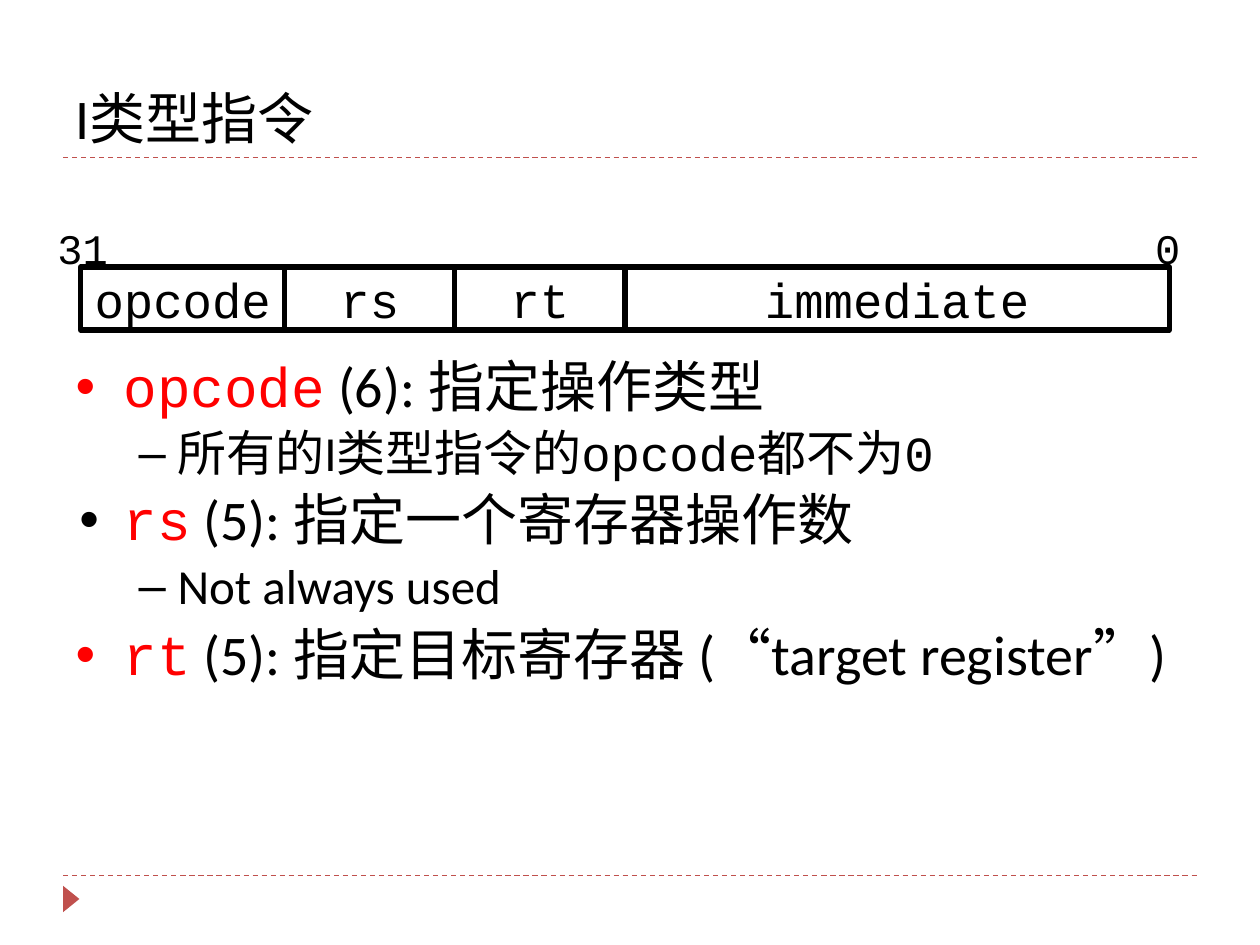
from lxml import etree
from pptx import Presentation
from pptx.dml.color import RGBColor
from pptx.enum.dml import MSO_LINE
from pptx.enum.shapes import MSO_CONNECTOR, MSO_SHAPE
from pptx.enum.text import MSO_ANCHOR, MSO_AUTO_SIZE, PP_ALIGN
from pptx.oxml.ns import qn
from pptx.util import Inches, Pt

BLACK = RGBColor(0x00, 0x00, 0x00)
RED = RGBColor(0xFF, 0x00, 0x00)
ACCENT = RGBColor(0xC0, 0x50, 0x4D)
SANS, MONO = "Calibri", "Courier New"


def add_run(paragraph, text, size, name, color=BLACK):
    run = paragraph.add_run()
    run.text = text
    run.font.size = Pt(size)
    run.font.name = name
    run.font.color.rgb = color


def set_bullet(paragraph, character, color, margin, indent):
    properties = paragraph._p.get_or_add_pPr()
    properties.set("marL", str(Inches(margin)))
    properties.set("indent", str(Inches(indent)))
    bullet_color = etree.SubElement(properties, qn("a:buClr"))
    etree.SubElement(bullet_color, qn("a:srgbClr"), val=str(color))
    etree.SubElement(properties, qn("a:buFont"), typeface="Arial")
    etree.SubElement(properties, qn("a:buChar"), char=character)


presentation = Presentation()
presentation.slide_width = Inches(10)
presentation.slide_height = Inches(7.5)
slide = presentation.slides.add_slide(presentation.slide_layouts[1])
title, body = slide.placeholders[0], slide.placeholders[1]

# Dashed rules and corner marker
for y in (6.95, 1.25):
    rule = slide.shapes.add_connector(
        MSO_CONNECTOR.STRAIGHT, Inches(0.5), Inches(y), Inches(9.5), Inches(y))
    rule.line.color.rgb = ACCENT
    rule.line.width = Pt(0.75)
    rule.line.dash_style = MSO_LINE.DASH
    etree.SubElement(rule._element.spPr, qn("a:effectLst"))

marker = slide.shapes.add_shape(
    MSO_SHAPE.ISOSCELES_TRIANGLE, Inches(0.46), Inches(7.07), Inches(0.21), Inches(0.13))
marker.rotation = 90
marker.shadow.inherit = False
marker.fill.solid()
marker.fill.fore_color.rgb = ACCENT
marker.line.fill.background()

# Title
title.left, title.top = Inches(0.5), Inches(0.17)
title.width, title.height = Inches(9), Inches(1.08)
title.text_frame.auto_size = MSO_AUTO_SIZE.NONE
title.text_frame.vertical_anchor = MSO_ANCHOR.BOTTOM
paragraph = title.text_frame.paragraphs[0]
paragraph.alignment = PP_ALIGN.LEFT
add_run(paragraph, "I类型指令", 32, SANS)

# Field descriptions: level, space before, bullet colour, indent, runs
descriptions = [
    (0, 0, RED, -0.38, [("opcode", MONO, RED), (" (6): 指定操作类型", SANS, BLACK)]),
    (1, 5.6, BLACK, -0.31, [("所有的I类型指令的", SANS, BLACK), ("opcode都不为0", MONO, BLACK)]),
    (0, 5.6, BLACK, -0.35, [("rs", MONO, RED), (" (5): 指定一个寄存器操作数", SANS, BLACK)]),
    (1, 5.6, BLACK, -0.31, [("Not always used", SANS, BLACK)]),
    (0, 6.4, RED, -0.38, [("rt", MONO, RED),
                          (" (5): 指定目标寄存器 (“target register”)", SANS, BLACK)]),
]
body.left, body.top = Inches(0.5), Inches(2.8)
body.width, body.height = Inches(9), Inches(3.23)
frame = body.text_frame
frame.auto_size = MSO_AUTO_SIZE.NONE
for index, (level, space, bullet_color, indent, runs) in enumerate(descriptions):
    paragraph = frame.add_paragraph() if index else frame.paragraphs[0]
    paragraph.level = level
    paragraph.line_spacing = 0.9
    paragraph.space_before = Pt(space)
    set_bullet(paragraph, "•–"[level], bullet_color, (0.38, 0.81)[level], indent)
    for text, name, color in runs:
        add_run(paragraph, text, (32, 28)[level], name, color)

# Instruction word: each field is as wide as its bit count
BIT_WIDTH = 0.27
left = 0.64
for field, bits in (("opcode", 6), ("rs", 5), ("rt", 5), ("immediate", 16)):
    width = bits * BIT_WIDTH
    box = slide.shapes.add_shape(
        MSO_SHAPE.RECTANGLE, Inches(left), Inches(2.12), Inches(width), Inches(0.5))
    box.shadow.inherit = False
    box.fill.background()
    box.line.color.rgb = BLACK
    box.line.width = Pt(3)
    box.text_frame.word_wrap = False
    box.text_frame.vertical_anchor = MSO_ANCHOR.MIDDLE
    paragraph = box.text_frame.paragraphs[0]
    paragraph.alignment = PP_ALIGN.CENTER
    add_run(paragraph, field, 28, MONO)
    left += width

for bit, left, width, alignment in (("31", 0.35, 0.61, PP_ALIGN.CENTER),
                                    ("0", 9.07, 0.4, PP_ALIGN.LEFT)):
    label = slide.shapes.add_textbox(Inches(left), Inches(1.72), Inches(width), Inches(0.5))
    label.text_frame.word_wrap = True
    paragraph = label.text_frame.paragraphs[0]
    paragraph.alignment = alignment
    add_run(paragraph, bit, 24, MONO)

presentation.save("out.pptx")
